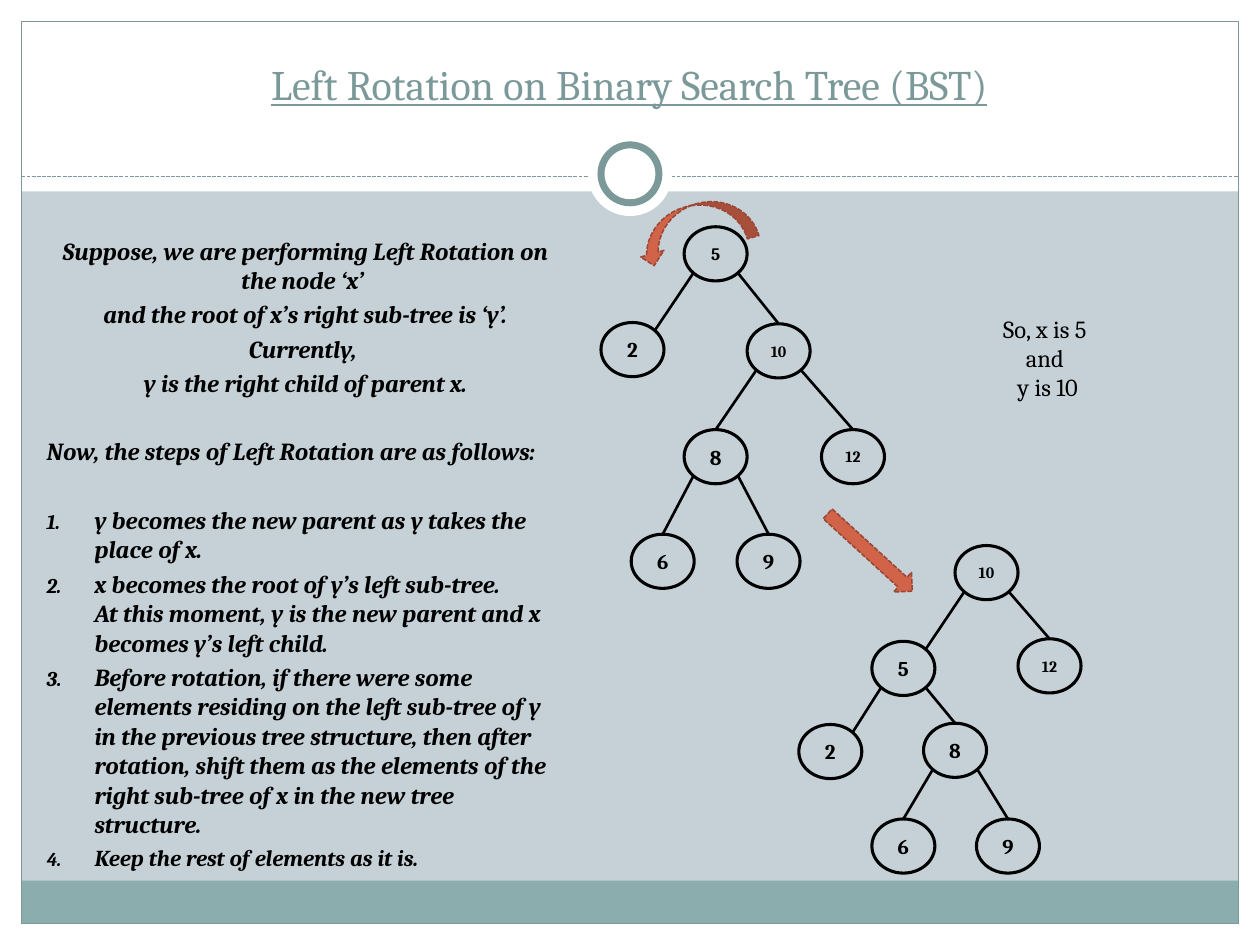
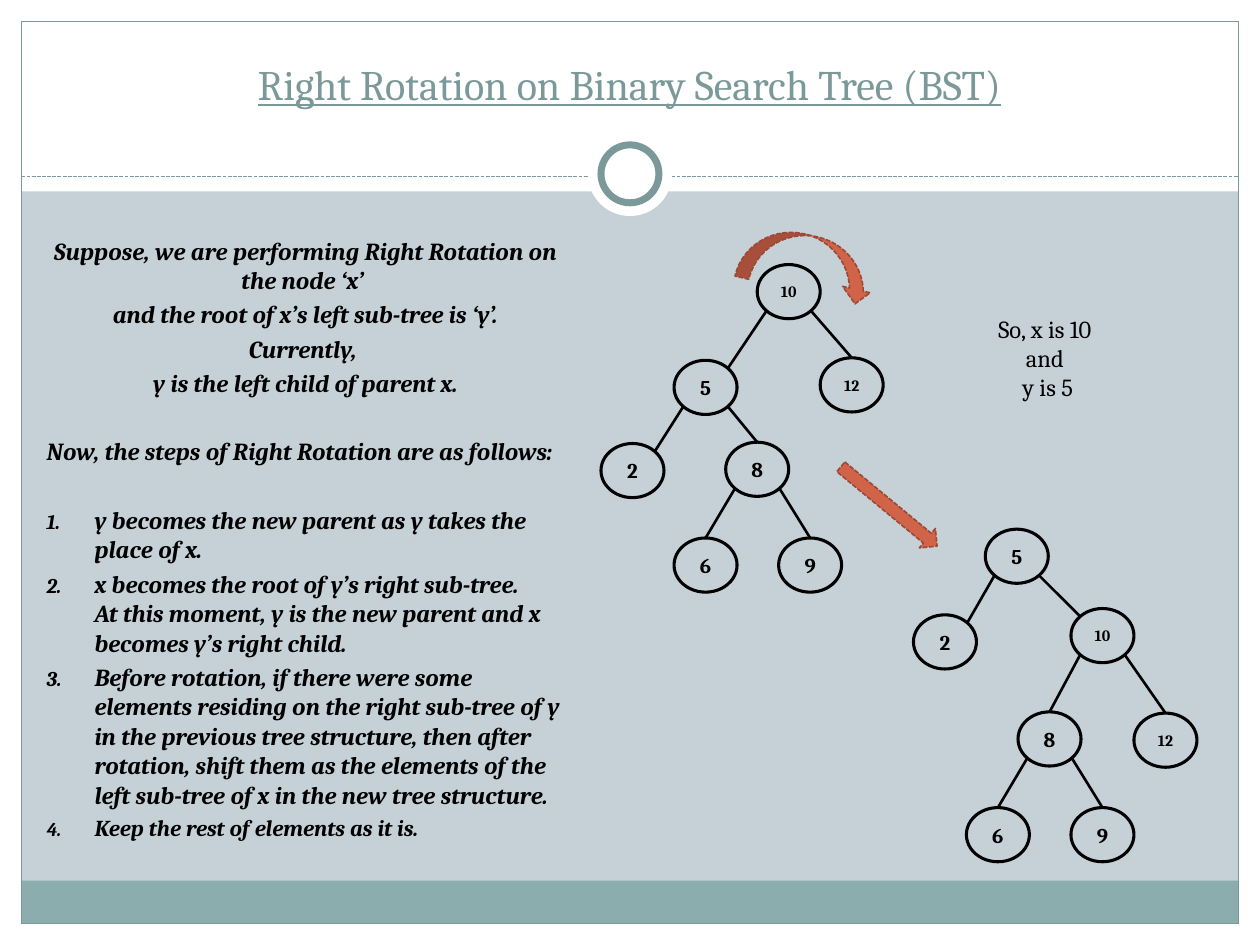
from math import sqrt

from lxml import etree
from pptx import Presentation
from pptx.dml.color import RGBColor
from pptx.enum.dml import MSO_LINE
from pptx.enum.shapes import MSO_CONNECTOR, MSO_SHAPE
from pptx.enum.text import MSO_ANCHOR, MSO_AUTO_SIZE, PP_ALIGN
from pptx.oxml.ns import qn
from pptx.util import Inches, Pt

RECT, OVAL = MSO_SHAPE.RECTANGLE, MSO_SHAPE.OVAL
CURVED_ARROW, RIGHT_ARROW = MSO_SHAPE.CURVED_DOWN_ARROW, MSO_SHAPE.RIGHT_ARROW
STRAIGHT = MSO_CONNECTOR.STRAIGHT
DASH = MSO_LINE.SQUARE_DOT
CENTER, LEFT = PP_ALIGN.CENTER, PP_ALIGN.LEFT
MIDDLE, TOP = MSO_ANCHOR.MIDDLE, MSO_ANCHOR.TOP
NO_FIT = MSO_AUTO_SIZE.NONE

COLORS = {
    "paper": "C5D1D7", "white": "FFFFFF", "footer": "8CADAE",
    "accent": "7C999A", "ink": "000000", "arrow": "D16349", "arrow_edge": "9B4936",
}
FONT = "Cambria"
NODE_W, NODE_H = 0.5, 0.43
CORNER = sqrt(0.125)
PARAGRAPH_GAP, SECTION_GAP = 2.8, 22.3

INTRO = [
    "Suppose, we are performing {turn} Rotation on the node ‘x’ ",
    "and the root of x’s {far} sub-tree is ‘y’.",
    "Currently, ",
    "y is the {far} child of parent x.",
]
LEAD = "Now, the steps of {turn} Rotation are as follows:"
STEPS = [
    "y becomes the new parent as y takes the place of x.",
    "x becomes the root of y’s {near} sub-tree.\n"
    "At this moment, y is the new parent and x becomes y’s {near} child.",
    "Before rotation, if there were some elements residing on the {near} sub-tree "
    "of y in the previous tree structure, then after rotation, shift them as the "
    "elements of the {far} sub-tree of x in the new tree structure.",
    "Keep the rest of elements as it is.",
]

# Each node: label, parent, offset from the root, whether its edge ends at a corner.
RIGHT_HEAVY = [
    ("5", None, 0, 0, False), ("2", "5", -0.66, 0.76, True),
    ("10", "5", 0.5, 0.77, False), ("8", "10", 0, 1.61, False),
    ("9", "8", 0.42, 2.44, False), ("6", "8", -0.42, 2.44, False),
    ("12", "10", 1.09, 1.61, False),
]
LEFT_HEAVY = [
    ("10", None, 0, 0, False), ("5", "10", -0.66, 0.76, True),
    ("8", "5", -0.25, 1.41, False), ("9", "8", 0.17, 2.17, False),
    ("6", "8", -0.66, 2.17, False), ("2", "5", -1.24, 1.42, True),
    ("12", "10", 0.5, 0.74, False),
]
RIGHT_HEAVY_RESULT = [
    ("5", None, 0, 0, False), ("10", "5", 0.68, 0.63, True),
    ("8", "10", 0.26, 1.45, False), ("9", "8", 0.68, 2.21, False),
    ("6", "8", -0.15, 2.21, False), ("2", "5", -0.57, 0.68, True),
    ("12", "10", 1.18, 1.46, False),
]


def rgb(name):
    """Return the named palette colour."""
    return RGBColor.from_string(COLORS[name])


def assign(target, **formats):
    """Set each format value as an attribute of the target."""
    for attribute, value in formats.items():
        setattr(target, attribute, value)


def style_line(line, color, width, dash=None):
    """Give an outline its colour, width and dash."""
    line.color.rgb = rgb(color)
    assign(line, width=Pt(width), dash_style=dash)


def add_figure(slide, kind, box, fill=None, outline=None):
    """Add a preset shape without shadow in a box in inches."""
    figure = slide.shapes.add_shape(kind, *map(Inches, box))
    figure.shadow.inherit = False
    if fill:
        figure.fill.solid()
        figure.fill.fore_color.rgb = rgb(fill)
    else:
        figure.fill.background()
    if outline:
        style_line(figure.line, *outline)
    else:
        figure.line.fill.background()
    return figure


def add_rule(slide, start, end, *outline):
    """Add a straight line without shadow between two points in inches."""
    rule = slide.shapes.add_connector(STRAIGHT, *map(Inches, (*start, *end)))
    style_line(rule.line, *outline)
    etree.SubElement(rule._element.spPr, qn("a:effectLst"))
    return rule


def write(paragraph, text, size, color="ink", align=CENTER, gap=0, **font):
    """Fill a paragraph and format its runs and line breaks."""
    paragraph.text = text
    assign(paragraph, alignment=align, space_before=Pt(gap))
    for run in paragraph.runs:
        run.font.color.rgb = rgb(color)
        assign(run.font, name=FONT, size=Pt(size), **font)
    for line_break in paragraph._p.findall(qn("a:br")):
        etree.SubElement(line_break, qn("a:rPr"), sz=str(size * 100))


def place(shape, box):
    """Move a shape to a box in inches."""
    left, top, width, height = map(Inches, box)
    assign(shape, left=left, top=top, width=width, height=height)


def draw_frame(slide, box):
    """Draw the white margins, footer band, border and ring of the template."""
    left, top, width, height = box
    margin, header = 0.17, 1.52
    right, bottom, middle = left + width, top + height, left + width / 2
    inner = (left + margin, top + margin, width - 2 * margin, height - 2 * margin)
    for band in (
        (left, bottom - margin, width, margin), (left, top, width, header),
        (left, top, margin, height), (right - margin, top, margin, height),
    ):
        add_figure(slide, RECT, band, "white")
    add_figure(slide, RECT, (inner[0], bottom - 0.51, inner[2], 0.34), "footer")
    add_figure(slide, RECT, inner, None, ("accent", 0.75))
    add_rule(slide, (left + margin, top + 1.4), (right - margin, top + 1.4),
             "accent", 0.75, DASH)
    for size, outline in ((0.67, None), (0.46, ("accent", 4))):
        add_figure(slide, OVAL, (middle - size / 2, top + 1.38 - size / 2, size, size),
                   "white", outline)


def move_to_master(slide, master):
    """Move the frame drawn on a slide behind the placeholders of the master."""
    master_tree = master.shapes._spTree
    figures = [shape for shape in slide.shapes if not shape.is_placeholder]
    for position, figure in enumerate(figures, 2):
        master_tree.insert(position, figure._element)


def fill_title(slide, text, box):
    """Place and fill the title placeholder."""
    title = slide.shapes.title
    place(title, box)
    assign(title.text_frame, auto_size=NO_FIT, vertical_anchor=MIDDLE, word_wrap=True)
    write(title.text_frame.paragraphs[0], text, 24, "accent", underline=True)


def set_bullet(paragraph, numbered):
    """Number a paragraph with a hanging indent, or clear its bullet."""
    properties = paragraph._p.get_or_add_pPr()
    indent = Inches(0.38) if numbered else 0
    properties.set("marL", str(indent))
    properties.set("indent", str(-indent))
    if numbered:
        bullet_color = etree.SubElement(properties, qn("a:buClr"))
        etree.SubElement(bullet_color, qn("a:srgbClr"), val=COLORS["ink"])
        etree.SubElement(properties, qn("a:buSzPct"), val="85000")
        etree.SubElement(properties, qn("a:buAutoNum"), type="arabicPeriod")
    else:
        etree.SubElement(properties, qn("a:buNone"))


def fill_explanation(slide, words, box):
    """Place the body placeholder and fill it with the intro and numbered steps."""
    body = slide.placeholders[1]
    place(body, box)
    frame = body.text_frame
    assign(frame, auto_size=NO_FIT, vertical_anchor=TOP, word_wrap=True)
    for index, text in enumerate([*INTRO, LEAD, *STEPS]):
        paragraph = frame.add_paragraph() if index else frame.paragraphs[0]
        opens_section = text in (LEAD, STEPS[0])
        write(paragraph, text.format(**words), 13 if text == STEPS[-1] else 14,
              align=CENTER if text in INTRO else LEFT,
              gap=SECTION_GAP if opens_section else PARAGRAPH_GAP,
              bold=True, italic=True)
        set_bullet(paragraph, text in STEPS)


def draw_tree(slide, nodes, left, top, root_size=None):
    """Draw a tree whose root node has the given left and top."""
    centers = {}
    for label, parent, dx, dy, at_corner in nodes:
        x, y = left + dx + NODE_W / 2, top + dy + NODE_H / 2
        centers[label] = x, y
        if parent:
            parent_x, parent_y = centers[parent]
            side = 1 if x > parent_x else -1
            start = (parent_x + side * CORNER * NODE_W, parent_y + CORNER * NODE_H)
            end = (x, y - NODE_H / 2)
            if at_corner:
                end = (x - side * CORNER * NODE_W, y - CORNER * NODE_H)
            add_rule(slide, start, end, "ink", 1.5)
        node = add_figure(slide, OVAL, (left + dx, top + dy, NODE_W, NODE_H),
                          None, ("ink", 1.75))
        assign(node.text_frame, margin_left=0, margin_right=0, margin_top=0,
               margin_bottom=0, vertical_anchor=MIDDLE, word_wrap=True)
        size = 12 if len(label) == 1 else 9
        write(node.text_frame.paragraphs[0], label,
              size if parent else root_size or size, bold=True)


def add_arrow(slide, kind, box, rotation, mirrored=False):
    """Add a rotated block arrow, mirrored on demand."""
    arrow = add_figure(slide, kind, box, "arrow", ("arrow_edge", 0.9, DASH))
    arrow.rotation = rotation
    if mirrored:
        arrow._element.spPr.find(qn("a:xfrm")).set("flipH", "1")


def add_roles(slide, x, y, box):
    """Add the note that says which nodes are x and y."""
    frame = slide.shapes.add_textbox(*map(Inches, box)).text_frame
    frame.word_wrap = True
    for index, text in enumerate((f"So, x is {x} ", "and ", f"y is {y}")):
        write(frame.add_paragraph() if index else frame.paragraphs[0], text, 14)


def build_slide(slide, rotation):
    """Fill one rotation slide."""
    words = rotation["words"]
    fill_title(slide, f"{words['turn']} Rotation on Binary Search Tree (BST)",
               (0.33, 0.25, 9.33, 0.83))
    fill_explanation(slide, words, (0.27, 1.82, 4.31, 5.18))
    draw_tree(slide, *rotation["before"])
    add_arrow(slide, CURVED_ARROW, *rotation["turn_arrow"])
    add_arrow(slide, RIGHT_ARROW, *rotation["result_arrow"])
    draw_tree(slide, *rotation["after"])
    add_roles(slide, *rotation["roles"], (7.58, 2.44, 1.47, 0.81))


ROTATIONS = [
    {
        "words": {"turn": "Left", "near": "left", "far": "right"},
        "before": (RIGHT_HEAVY, 5.43, 1.8, 10),
        "turn_arrow": ((5.03, 1.63, 0.96, 0.38), 344, True),
        "result_arrow": ((6.45, 4.28, 0.91, 0.21), 42.4),
        "after": (LEFT_HEAVY, 7.58, 4.33),
        "roles": (5, 10),
    },
    {
        "words": {"turn": "Right", "near": "right", "far": "left"},
        "before": (LEFT_HEAVY, 6.01, 2.1),
        "turn_arrow": ((5.87, 1.87, 1.09, 0.45), 13),
        "result_arrow": ((6.56, 3.92, 0.99, 0.2), 39.5),
        "after": (RIGHT_HEAVY_RESULT, 7.82, 4.2),
        "roles": (10, 5),
    },
]

prs = Presentation()
assign(prs, slide_width=Inches(10), slide_height=Inches(7.5))
background = prs.slide_master.background.fill
background.solid()
background.fore_color.rgb = rgb("paper")
slides = [prs.slides.add_slide(prs.slide_layouts[1]) for _ in ROTATIONS]
draw_frame(slides[0], (0, 0, 10, 7.5))
move_to_master(slides[0], prs.slide_master)
for rotation_slide, rotation_data in zip(slides, ROTATIONS):
    build_slide(rotation_slide, rotation_data)
prs.save("out.pptx")
